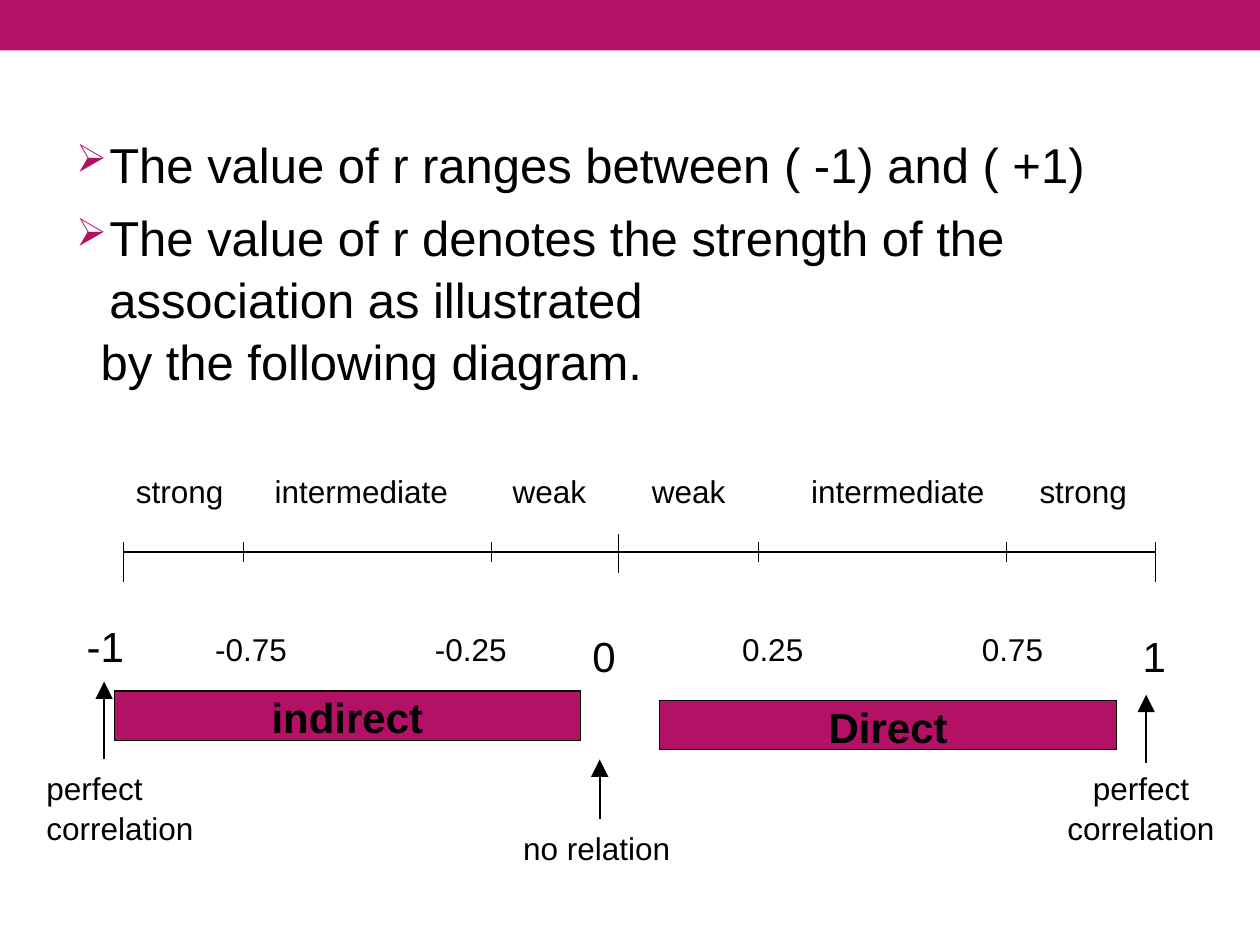
from lxml import etree
from pptx import Presentation
from pptx.dml.color import RGBColor
from pptx.enum.shapes import MSO_CONNECTOR as Connector, MSO_SHAPE as Shape
from pptx.enum.text import MSO_ANCHOR as Anchor, PP_ALIGN as Align
from pptx.oxml.ns import qn
from pptx.util import Pt

MAGENTA = RGBColor(0xB3, 0x11, 0x66)
BLACK = RGBColor(0, 0, 0)

presentation = Presentation()
presentation.slide_width = Pt(720)
presentation.slide_height = Pt(540)
slide = presentation.slides.add_slide(presentation.slide_layouts[6])


def write(shape, text, size, align=Align.LEFT, bold=False, top=2):
    frame = shape.text_frame
    frame.text = text
    frame_format = {"word_wrap": True, "margin_left": 0, "margin_right": 0,
                    "margin_top": Pt(top), "margin_bottom": 0}
    for name, value in frame_format.items():
        setattr(frame, name, value)
    for paragraph in frame.paragraphs:
        paragraph.alignment = align
        paragraph.line_spacing = 1.05
        paragraph.font.color.rgb = BLACK
        for name, value in {"name": "Arial", "size": Pt(size), "bold": bold}.items():
            setattr(paragraph.font, name, value)
    return frame


def draw_line(x1, y1, x2, y2, width=0.72):
    line = slide.shapes.add_connector(Connector.STRAIGHT, Pt(x1), Pt(y1), Pt(x2), Pt(y2))
    line.line.color.rgb = BLACK
    line.line.width = Pt(width)
    etree.SubElement(line._element.spPr, qn("a:effectLst"))
    return line


header = slide.shapes.add_shape(Shape.RECTANGLE, 0, 0, Pt(720), Pt(28.8))
header.shadow.inherit = False
header.fill.solid()
header.fill.fore_color.rgb = MAGENTA
header.line.fill.background()

body = slide.shapes.add_textbox(Pt(42.5), Pt(67), Pt(580), Pt(150))
body_text = "\n".join([
    "The value of r ranges between ( -1) and ( +1)",
    "The value of r denotes the strength of the association as illustrated",
    "by the following diagram.",
])
paragraphs = write(body, body_text, 28, top=8).paragraphs
for paragraph in paragraphs[:2]:
    paragraph.space_before = Pt(6.7)
    properties = paragraph._p.get_or_add_pPr()
    properties.set("marL", str(Pt(20)))
    properties.set("indent", str(Pt(-19)))
    bullet_color = etree.SubElement(properties, qn("a:buClr"))
    etree.SubElement(bullet_color, qn("a:srgbClr"), val=str(MAGENTA))
    etree.SubElement(properties, qn("a:buSzPct"), val="80000")
    etree.SubElement(properties, qn("a:buChar"), char="➢")
    properties.append(properties.find(qn("a:defRPr")))
paragraphs[2]._p.get_or_add_pPr().set("marL", str(Pt(15)))

draw_line(70.5, 315.4, 660.2, 315.4)
ticks = [(70.5, 309.6, 332.6), (660.2, 309.6, 332.6), (353.5, 305.3, 327.6)]
ticks += [(x, 309.6, 321) for x in (139, 280.8, 433.4, 575.3)]
for x, top, bottom in ticks:
    draw_line(x, top, x, bottom)

labels = [
    ("strong", 77.7, 266.4, 54, 18),
    ("intermediate", 157, 266.4, 102, 18),
    ("weak", 293, 266.4, 46, 18),
    ("weak", 372.5, 266.4, 46, 18),
    ("intermediate", 463.5, 266.4, 102, 18),
    ("strong", 594, 266.4, 54, 18),
    ("-1", 49.5, 351.4, 24, 24),
    ("-0.75", 123, 357, 44, 18),
    ("-0.25", 248.5, 357, 44, 18),
    ("0", 338.5, 357, 16, 24),
    ("0.25", 424, 357, 40, 18),
    ("0.75", 561, 357, 40, 18),
    ("1", 653, 357, 16, 24),
    ("no relation", 299, 470.5, 86, 18),
    ("perfect correlation", 26.5, 436.3, 86, 18),
    ("perfect correlation", 609, 436.3, 86, 18),
]
for text, left, top, width, size in labels:
    height = size * (2.5 if text.startswith("perfect") else 1.3)
    label = slide.shapes.add_textbox(Pt(left), Pt(top), Pt(width), Pt(height))
    centered = text.startswith("perfect") and left > 360
    write(label, text, size, Align.CENTER if centered else Align.LEFT)

for x, tail, tip in [(342.7, 468, 434), (59.5, 434, 389.5), (655, 436, 397)]:
    arrow = draw_line(x, tail, x, tip, 1)
    etree.SubElement(arrow.line._get_or_add_ln(), qn("a:tailEnd"),
                     type="triangle", w="lg", len="lg")

for text, left, top, width in [("Direct", 377, 400.3, 261), ("indirect", 65.3, 394.8, 266.5)]:
    bar = slide.shapes.add_shape(Shape.RECTANGLE, Pt(left), Pt(top), Pt(width), Pt(28.2))
    bar.shadow.inherit = False
    bar.fill.solid()
    bar.fill.fore_color.rgb = MAGENTA
    bar.line.color.rgb = BLACK
    bar.line.width = Pt(0.72)
    write(bar, text, 24, Align.CENTER, True, 0).vertical_anchor = Anchor.MIDDLE

presentation.save("out.pptx")
